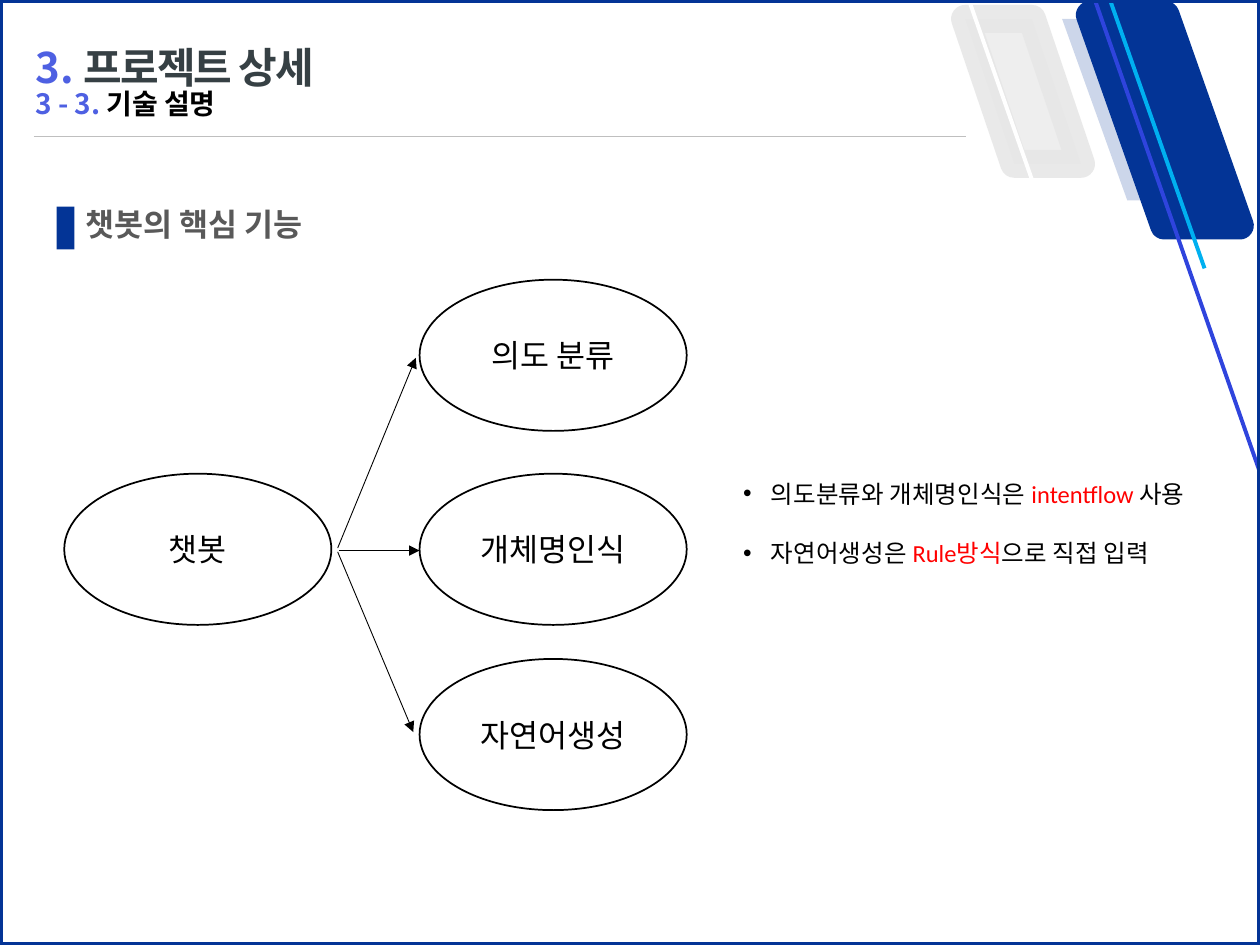
import pptx
import pptx.util
import pptx.dml.color
import pptx.enum.shapes
import pptx.enum.text
import pptx.oxml.ns
from lxml import etree

Inches, Pt = pptx.util.Inches, pptx.util.Pt
SHAPE = pptx.enum.shapes.MSO_SHAPE
ALIGN = pptx.enum.text.PP_ALIGN
ANCHOR = pptx.enum.text.MSO_ANCHOR
qn = pptx.oxml.ns.qn

THEME = {
    "navy": "033496", "blue": "2F44DD", "cyan": "00B0F0", "number": "4E60E2",
    "heading": "364044", "section": "595959", "rule": "BFBFBF", "pale": "E7E7E7",
    "text": "000000", "accent": "FF0000", "white": "FFFFFF",
    "head_font": "Noto Sans CJK KR", "body_font": "Calibri",
    "title": 24, "subtitle": 16, "label": 18, "note": 14,
}

TITLE = [
    ("title", [("3. ", "number", 0), ("프로젝트 상세", "heading", -1)]),
    ("subtitle", [("3 - 3. ", "number", 0), ("기술 설명", "text", 0)]),
]
SECTION = "챗봇의 핵심 기능"
SOURCE = "챗봇"
FEATURES = [  # label, top of ellipse, arrow start, arrow end
    ("의도 분류", 2.22, (2.68, 4.35), (3.3, 2.84)),
    ("개체명인식", 3.76, (2.69, 4.37), (3.33, 4.37)),
    ("자연어생성", 5.23, (2.68, 4.38), (3.28, 5.81)),
]
NOTES = [
    [("의도분류와 개체명인식은 ", "text"), ("intentflow", "accent"), (" 사용", "text")],
    [("자연어생성은", "text"), (" Rule방식", "accent"), ("으로 직접 입력", "text")],
]
# box, slant, fill, fill opacity, outline, outline opacity
SLANTED = [
    ((8.65, 0.12, 1.19, 1.67), 0.495, "navy", 100, "navy", 100),
    ((8.43, 0.15, 0.97, 1.44), 0.533, "navy", 20, None, 100),
    ((7.66, 0.15, 0.92, 1.15), 0.424, "rule", 26, "pale", 89),
]
STRIPES = [
    ((8.69, 0), (10, 3.75), "blue"),
    ((8.81, 0), (9.56, 2.13), "cyan"),
    ((7.69, 0), (8.23, 1.54), "white"),
]
ELLIPSE = (2.12, 1.2)


def color(name):
    return pptx.dml.color.RGBColor.from_string(THEME[name])


def set_opacity(fill, percent):
    if percent < 100:
        clr = fill._xPr.find(qn("a:solidFill"))[0]
        etree.SubElement(clr, qn("a:alpha")).set("val", str(percent * 1000))


def add_shape(kind, box, fill=None, line=None, width=1, opacity=100, line_opacity=100):
    sp = s.shapes.add_shape(kind, *map(Inches, box))
    sp.shadow.inherit = False
    if fill:
        sp.fill.solid()
        sp.fill.fore_color.rgb = color(fill)
        set_opacity(sp.fill, opacity)
    else:
        sp.fill.background()
    if line:
        sp.line.color.rgb = color(line)
        sp.line.width = Pt(width)
        set_opacity(sp.line.fill, line_opacity)
    else:
        sp.line.fill.background()
    return sp


def add_line(start, end, name, width, arrow=False):
    cx = s.shapes.add_connector(pptx.enum.shapes.MSO_CONNECTOR.STRAIGHT,
                                *map(Inches, start + end))
    cx.line.color.rgb = color(name)
    cx.line.width = Pt(width)
    if arrow:
        etree.SubElement(cx.line._get_or_add_ln(), qn("a:tailEnd")).set("type", "triangle")
    etree.SubElement(cx._element.spPr, qn("a:effectLst"))


def add_run(p, text, name, size, font="body_font", bold=False, spacing=0):
    r = p.add_run()
    r.text = text
    r.font.size = Pt(THEME[size])
    r.font.bold = bold
    r.font.color.rgb = color(name)
    r.font.name = THEME[font]
    rPr = r.font._element
    etree.SubElement(rPr, qn("a:ea")).set("typeface", THEME[font])
    if spacing:
        rPr.set("spc", str(spacing * 100))


def add_ellipse(left, top, label):
    sp = add_shape(SHAPE.OVAL, (left, top) + ELLIPSE, line="text")
    tf = sp.text_frame
    tf.vertical_anchor = ANCHOR.MIDDLE
    p = tf.paragraphs[0]
    p.alignment = ALIGN.CENTER
    add_run(p, label, "text", "label")


def add_bullet(p):
    pPr = p._p.get_or_add_pPr()
    pPr.set("marL", str(Inches(0.22)))
    pPr.set("indent", str(-Inches(0.22)))
    etree.SubElement(pPr, qn("a:buFont")).set("typeface", "Arial")
    etree.SubElement(pPr, qn("a:buChar")).set("char", "•")


prs = pptx.Presentation()
prs.slide_width, prs.slide_height = Inches(10), Inches(7.5)
s = prs.slides.add_slide(prs.slide_layouts[5])

# Corner decoration and frame
for box, slant, fill, opacity, line, line_opacity in SLANTED:
    sp = add_shape(SHAPE.PARALLELOGRAM, box, fill, line, 16, opacity, line_opacity)
    sp.adjustments[0] = slant
    sp._element.spPr.xfrm.set("flipH", "1")
    if box == SLANTED[1][0]:
        add_line(*STRIPES[0], 2.25)
for stripe in STRIPES[1:]:
    add_line(*stripe, 2.25)
add_shape(SHAPE.RECTANGLE, (0, 0, 10, 7.5), line="navy", width=3)

# Heading
add_line((0.27, 1.08), (7.67, 1.08), "rule", 0.5)
title = s.shapes.title
title.left, title.top, title.width, title.height = map(Inches, (0.18, 0.34, 8.61, 0.76))
tf = title.text_frame
tf.word_wrap = True
tf.auto_size = pptx.enum.text.MSO_AUTO_SIZE.NONE
tf.vertical_anchor = ANCHOR.TOP
for i, (size, runs) in enumerate(TITLE):
    p = tf.add_paragraph() if i else tf.paragraphs[0]
    p.alignment = ALIGN.LEFT
    p.line_spacing = 0.85
    for text, name, spacing in runs:
        add_run(p, text, name, size, "head_font", True, spacing)

tb = s.shapes.add_textbox(*map(Inches, (0.58, 1.58, 2.09, 0.4)))
add_run(tb.text_frame.paragraphs[0], SECTION, "section", "label", "head_font", True)
add_shape(SHAPE.RECTANGLE, (0.45, 1.64, 0.14, 0.34), "navy")

# Chatbot and its features
add_ellipse(0.51, 3.76, SOURCE)
for label, top, start, end in FEATURES:
    add_ellipse(3.33, top, label)
    add_line(start, end, "text", 0.5, arrow=True)

# Notes
tb = s.shapes.add_textbox(*map(Inches, (5.8, 3.75, 3.97, 0.79)))
tf = tb.text_frame
tf.word_wrap = True
for i, runs in enumerate(NOTES):
    p = tf.add_paragraph() if i else tf.paragraphs[0]
    add_bullet(p)
    if i:
        p.space_before = Pt(17)
    for text, name in runs:
        add_run(p, text, name, "note")

prs.save("out.pptx")
